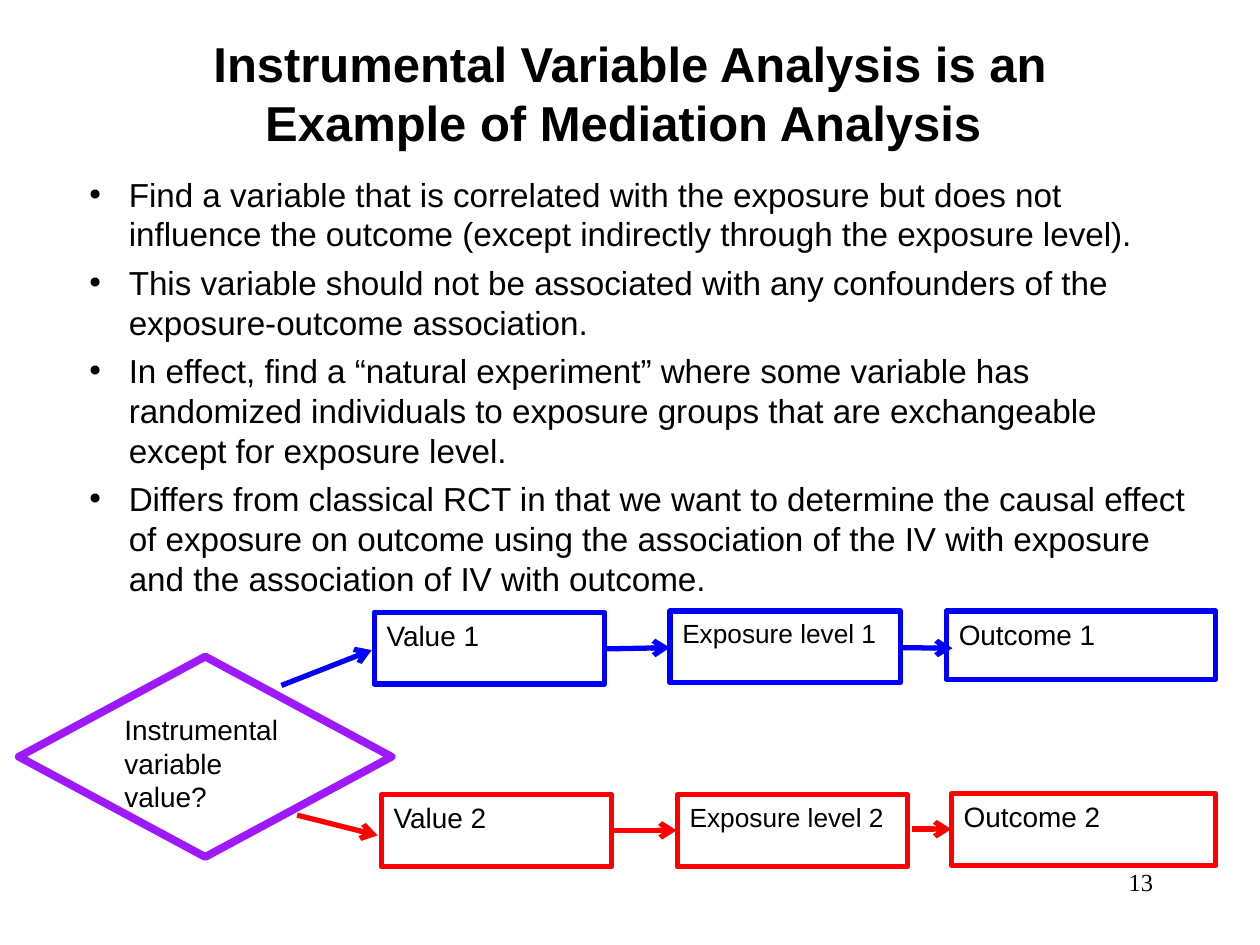
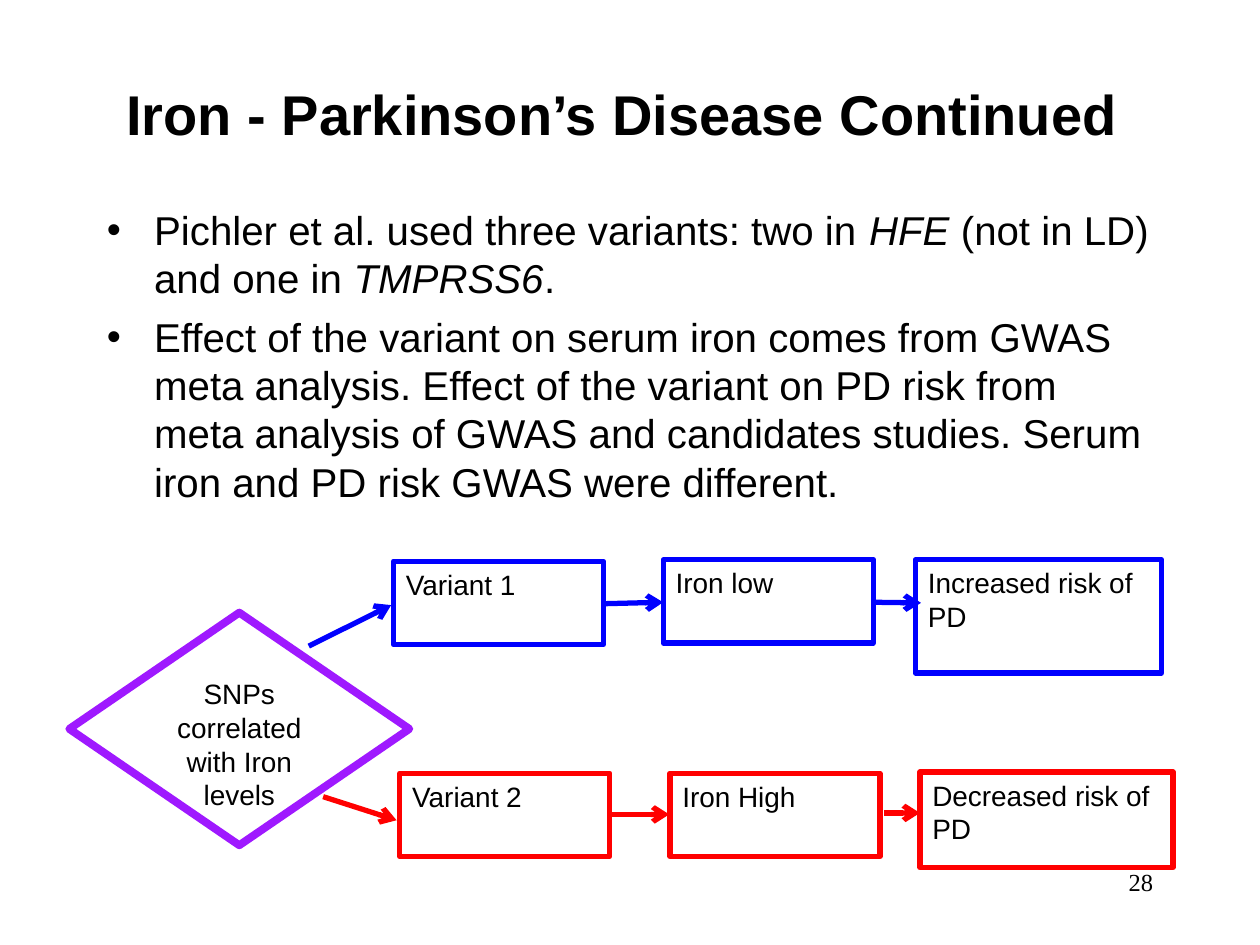
from lxml import etree
from pptx import Presentation
from pptx.dml.color import RGBColor
from pptx.enum.shapes import MSO_CONNECTOR, MSO_SHAPE
from pptx.enum.text import MSO_ANCHOR, MSO_AUTO_SIZE, PP_ALIGN
from pptx.oxml.ns import qn
from pptx.util import Pt

BLACK = RGBColor(0x00, 0x00, 0x00)
BLUE = RGBColor(0x00, 0x00, 0xFF)
RED = RGBColor(0xFF, 0x00, 0x00)
PURPLE = RGBColor(0x9F, 0x19, 0xFF)
BODY_FONT = "Arial"
NUMBER_FONT = "Times New Roman"
LABEL_SIZE = 16

# The flow is laid out on this design area and stretched into its box.
DESIGN_WIDTH, DESIGN_HEIGHT = 684, 146
DIAMOND = (0, 26, 213, 114.5)
STEP_WIDTH, STEP_HEIGHT = 131.6, 41
# Per branch: colour, left and top of its three steps, ends of its three arrows.
BRANCHES = [
    (BLUE,
     [(203, 0.7), (372, 0), (530, 0)],
     [(150, 42.5, 201.6, 22.3), (335, 21.6, 372, 20.9), (504, 20.9, 533.5, 21.2)]),
    (RED,
     [(207, 105), (376.2, 105), (532.8, 104.4)],
     [(159, 116.6, 205, 128.2), (338.4, 125.3, 375.8, 125.3),
      (510.5, 124.6, 532.8, 124.6)]),
]


def add_run(paragraph, text, size, font=BODY_FONT, bold=False, italic=False):
    run = paragraph.add_run()
    run.text = text
    run.font.name = font
    run.font.size = Pt(size)
    run.font.bold = bold
    run.font.italic = italic
    run.font.color.rgb = BLACK


def set_title(slide, box, text, size):
    title = slide.shapes.title
    title.left, title.top, title.width, title.height = map(Pt, box)
    frame = title.text_frame
    frame.word_wrap = True
    frame.auto_size = MSO_AUTO_SIZE.NONE
    frame.vertical_anchor = MSO_ANCHOR.MIDDLE
    paragraph = frame.paragraphs[0]
    paragraph.alignment = PP_ALIGN.CENTER
    add_run(paragraph, text, size, bold=True)


def set_bullet(paragraph, margin, hanging):
    properties = paragraph._p.get_or_add_pPr()
    properties.set("marL", str(Pt(margin)))
    properties.set("indent", str(-Pt(hanging)))
    color = etree.SubElement(properties, qn("a:buClr"))
    etree.SubElement(color, qn("a:srgbClr")).set("val", str(BLACK))
    etree.SubElement(properties, qn("a:buFont")).set("typeface", BODY_FONT)
    etree.SubElement(properties, qn("a:buChar")).set("char", "•")


def add_bullets(slide, box, bullets, size, margin, hanging, gap):
    """Each bullet is a list of (text, italic) runs."""
    frame = slide.shapes.add_textbox(*map(Pt, box)).text_frame
    frame.word_wrap = True
    for index, runs in enumerate(bullets):
        paragraph = frame.add_paragraph() if index else frame.paragraphs[0]
        set_bullet(paragraph, margin, hanging)
        paragraph.space_before = Pt(gap if index else 0)
        for text, italic in runs:
            add_run(paragraph, text, size, italic=italic)


def add_page_number(slide, number):
    box = slide.shapes.add_textbox(Pt(516), Pt(492), Pt(150), Pt(36))
    box.text_frame.word_wrap = True
    paragraph = box.text_frame.paragraphs[0]
    paragraph.alignment = PP_ALIGN.RIGHT
    add_run(paragraph, number, 14, NUMBER_FONT)


def add_outlined_shape(slide, kind, box, color, weight, text, size,
                       alignment=PP_ALIGN.LEFT):
    shape = slide.shapes.add_shape(kind, *map(Pt, box))
    shape.shadow.inherit = False
    shape.fill.background()
    shape.line.color.rgb = color
    shape.line.width = Pt(weight)
    frame = shape.text_frame
    frame.word_wrap = True
    frame.vertical_anchor = MSO_ANCHOR.TOP
    paragraph = frame.paragraphs[0]
    paragraph.alignment = alignment
    add_run(paragraph, text, size)


def add_arrow(slide, start, end, color):
    arrow = slide.shapes.add_connector(
        MSO_CONNECTOR.STRAIGHT, *map(Pt, (*start, *end)))
    arrow.line.color.rgb = color
    arrow.line.width = Pt(3)
    etree.SubElement(arrow.line._get_or_add_ln(), qn("a:tailEnd")).set("type", "arrow")
    etree.SubElement(arrow._element.spPr, qn("a:effectLst"))


def add_flow(slide, box, question, alignment, labels, outcome_sizes,
             middle_size=LABEL_SIZE):
    """Diamond leading to a blue and a red branch of three steps each."""
    left, top, width, height = box
    scale_x, scale_y = width / DESIGN_WIDTH, height / DESIGN_HEIGHT

    def place(x, y):
        return left + x * scale_x, top + y * scale_y

    x, y, diamond_width, diamond_height = DIAMOND
    diamond_box = (*place(x, y), diamond_width * scale_x, diamond_height * scale_y)
    add_outlined_shape(slide, MSO_SHAPE.DIAMOND, diamond_box, PURPLE, 4.5,
                       question, LABEL_SIZE, alignment)
    step_size = (STEP_WIDTH * scale_x, STEP_HEIGHT * scale_y)
    for (color, corners, arrows), texts, outcome_size in zip(
            BRANCHES, labels, outcome_sizes):
        sizes = (step_size, step_size, outcome_size)
        text_sizes = (LABEL_SIZE, middle_size, LABEL_SIZE)
        for corner, size, text, text_size in zip(corners, sizes, texts, text_sizes):
            add_outlined_shape(slide, MSO_SHAPE.RECTANGLE, (*place(*corner), *size),
                               color, 3, text, text_size)
        for x1, y1, x2, y2 in arrows:
            add_arrow(slide, place(x1, y1), place(x2, y2), color)


def build_mediation_slide(slide):
    set_title(slide, (54, 12.2, 612, 81.4),
              "Instrumental Variable Analysis is an Example of Mediation Analysis ", 28)
    bullets = [
        "Find a variable that is correlated with the exposure but does not influence "
        "the outcome (except indirectly through the exposure level).",
        "This variable should not be associated with any confounders of the "
        "exposure-outcome association.",
        "In effect, find a “natural experiment” where some variable has randomized "
        "individuals to exposure groups that are exchangeable except for exposure level.",
        "Differs from classical RCT in that we want to determine the causal effect of "
        "exposure on outcome using the association of the IV with exposure and the "
        "association of IV with outcome.",
    ]
    add_bullets(slide, (8, 95.8, 683.3, 411.8), [[(text, False)] for text in bullets],
                size=19, margin=58.5, hanging=22.5, gap=4.8)
    add_page_number(slide, "13")
    add_flow(slide, (10.8, 349.2, 684, 146), "Instrumental variable value?",
             PP_ALIGN.LEFT,
             [("Value 1", "Exposure level 1", "Outcome 1"),
              ("Value 2", "Exposure level 2", "Outcome 2")],
             [(154, 39), (151.2, 41)], middle_size=15)


def build_iron_slide(slide):
    set_title(slide, (54, 15.1, 612, 99.4), "Iron - Parkinson’s Disease Continued ", 32)
    bullets = [
        [("Pichler et al. used three variants: two in ", False), ("HFE", True),
         (" (not in LD) and one in ", False), ("TMPRSS6", True), (".", False)],
        [("Effect of the variant on serum iron comes from GWAS meta analysis. Effect of "
          "the variant on PD risk from meta analysis of GWAS and candidates studies. "
          "Serum iron and PD risk GWAS were different.", False)],
    ]
    add_bullets(slide, (54, 113.8, 612, 366.5), bullets,
                size=23, margin=27, hanging=27, gap=5.8)
    add_page_number(slide, "28")
    add_flow(slide, (39.6, 319.9, 624, 169.5), "SNPs correlated with Iron levels",
             PP_ALIGN.CENTER,
             [("Variant 1", "Iron low", "Increased risk of PD"),
              ("Variant 2", "Iron High", "Decreased risk of PD")],
             [(140.6, 64.8), (144.7, 54.7)])


def main():
    presentation = Presentation()
    presentation.slide_width, presentation.slide_height = Pt(720), Pt(540)
    title_only = presentation.slide_layouts[5]
    for build in (build_mediation_slide, build_iron_slide):
        build(presentation.slides.add_slide(title_only))
    presentation.save("out.pptx")


if __name__ == "__main__":
    main()
